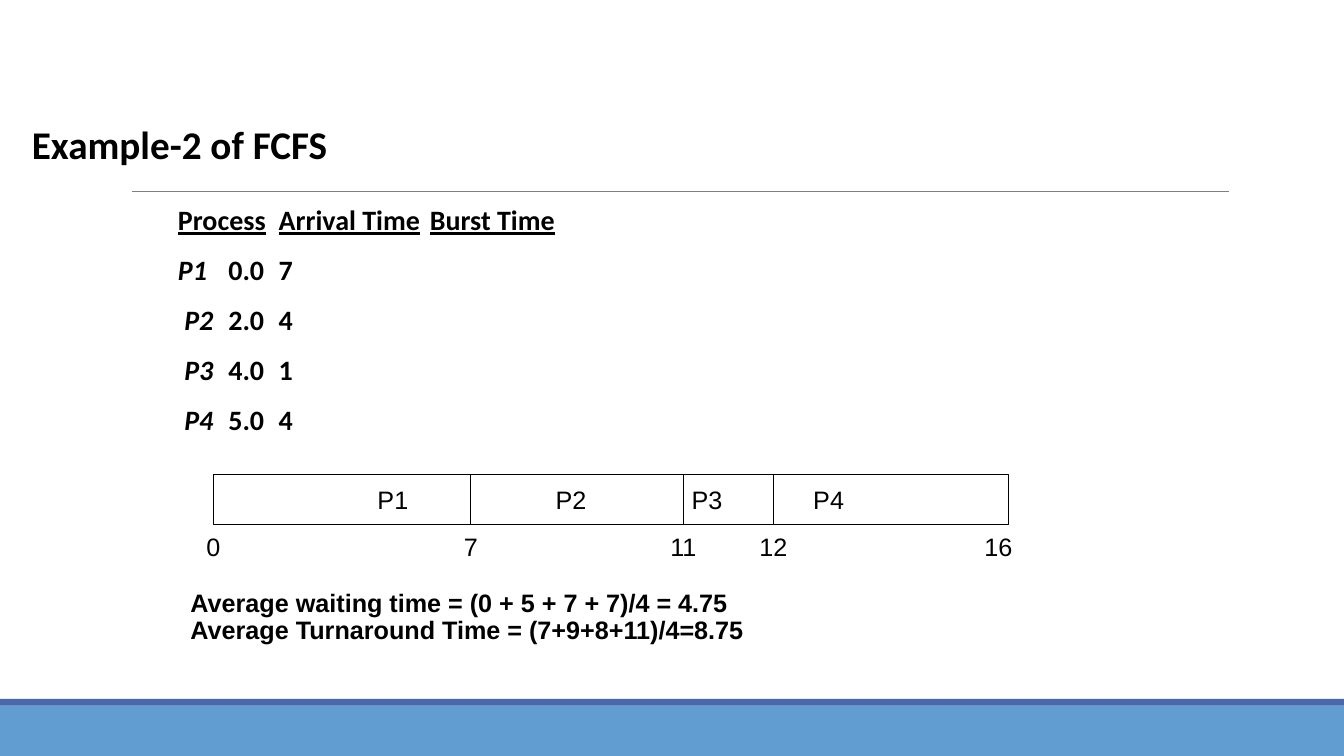
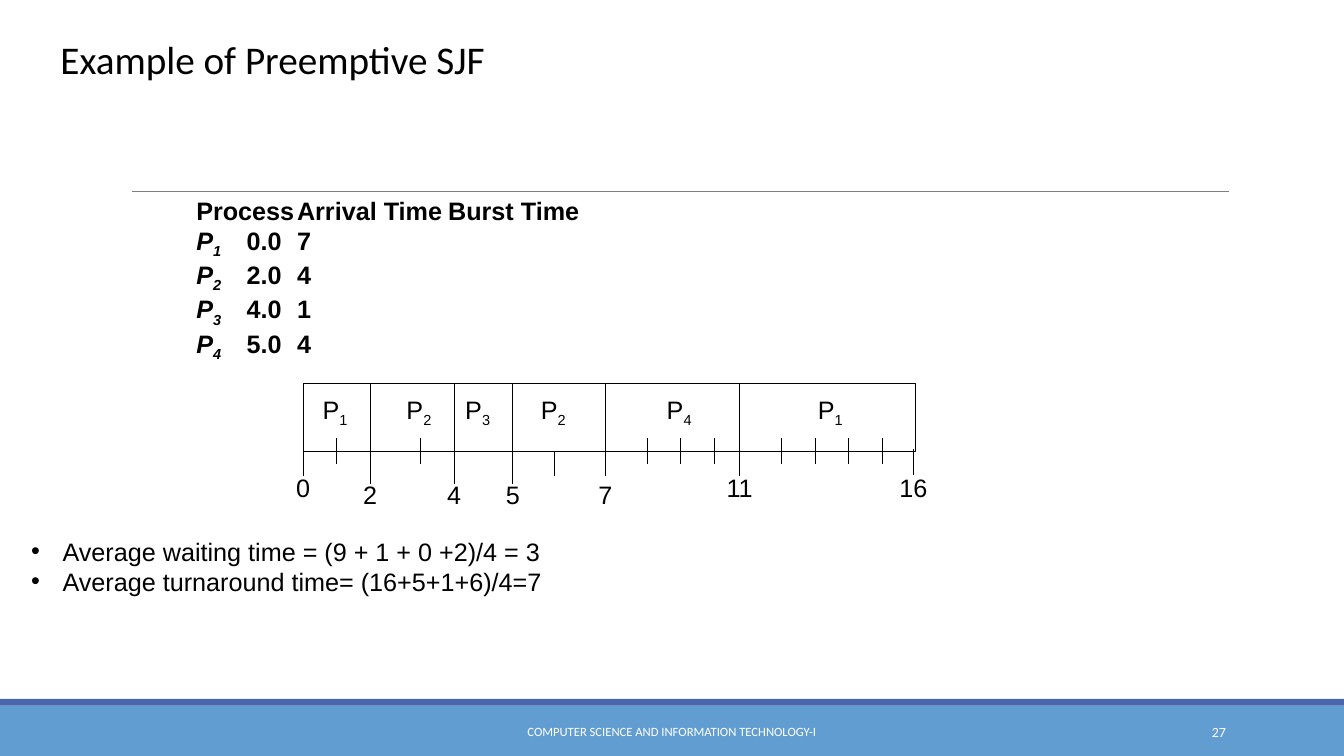
"""Build two slides on CPU scheduling, laid out on a grid of twelfths of an inch."""
from dataclasses import dataclass
from typing import NamedTuple

from lxml import etree
from pptx import Presentation
from pptx.dml.color import RGBColor
from pptx.enum import shapes, text
from pptx.oxml.ns import qn
from pptx.util import Inches, Pt

COLS, ROWS = 160.08, 90
LEFT, CENTER, RIGHT = text.PP_ALIGN.LEFT, text.PP_ALIGN.CENTER, text.PP_ALIGN.RIGHT
TOP, MIDDLE, BOTTOM = text.MSO_ANCHOR.TOP, text.MSO_ANCHOR.MIDDLE, text.MSO_ANCHOR.BOTTOM


@dataclass(frozen=True)
class Theme:
    """Colours, fonts and type sizes of the deck."""
    ink: str = "000000"
    paper: str = "FFFFFF"
    band: str = "629DD1"
    edge: str = "4A66AC"
    rule: str = "7F7F7F"
    head: str = "Calibri"
    body: str = "Arial"
    title: float = 28
    table: float = 20
    normal: float = 18
    number: float = 10
    footer: float = 9
    hairline: float = 0.5
    line: float = 0.75


class Box(NamedTuple):
    """A place on the grid."""
    left: float
    top: float
    width: float
    height: float


class Task(NamedTuple):
    """A process label, centred on a column of the chart."""
    col: float
    name: str
    sub: str = ""


class Mark(NamedTuple):
    """A vertical stroke on the chart, with an optional time below it."""
    col: float
    top: float
    bottom: float
    time: str = ""
    time_top: float = 0


@dataclass(frozen=True)
class Gantt:
    """A bar of tasks with its time marks."""
    bar: Box
    task_top: float
    task_height: float
    time_height: float
    tasks: list[Task]
    marks: list[Mark]


T = Theme()


def cells(n: float) -> int:
    """Turn grid cells into a length."""
    return Inches(n / 12)


def rgb(value: str) -> RGBColor:
    """Turn a hex value into a colour."""
    return RGBColor.from_string(value)


def place(sp, box: Box) -> None:
    """Move a shape to its place on the grid."""
    sp.left, sp.top, sp.width, sp.height = map(cells, box)


def write(p, s: str, *, font: str = T.body, size: float = T.normal, color: str = T.ink,
          bold: bool = False, italic: bool = False, underline: bool = False,
          sub: bool = False) -> None:
    """Add a formatted run to a paragraph."""
    r = p.add_run()
    r.text = s
    f = r.font
    f.name, f.size, f.bold, f.italic, f.underline = font, Pt(size), bold, italic, underline
    f.color.rgb = rgb(color)
    if sub:
        r._r.get_or_add_rPr().set("baseline", "-25000")


def paragraph(tf, align=LEFT, line: float = 1, before: float = 0, after: float = 0,
              tabs: tuple = (), bullet: str = "", indent: float = 0):
    """Return the next formatted paragraph of a text frame."""
    p = tf.paragraphs[0]
    if p.runs:
        p = tf.add_paragraph()
    p.alignment, p.line_spacing = align, line
    p.space_before, p.space_after = Pt(before), Pt(after)
    pr = p._p.get_or_add_pPr()
    pr.set("marL", str(cells(indent)))
    pr.set("indent", str(-cells(indent)))
    if bullet:
        etree.SubElement(pr, qn("a:buFont"), typeface=T.body)
        etree.SubElement(pr, qn("a:buChar"), char=bullet)
    else:
        etree.SubElement(pr, qn("a:buNone"))
    if tabs:
        stops = etree.SubElement(pr, qn("a:tabLst"))
        for col in tabs:
            etree.SubElement(stops, qn("a:tab"), pos=str(cells(col)), algn="l")
    return p


def frame(sp, anchor=TOP, wrap: bool = True):
    """Prepare and return the text frame of a shape."""
    tf = sp.text_frame
    tf.auto_size = text.MSO_AUTO_SIZE.NONE
    tf.word_wrap, tf.vertical_anchor = wrap, anchor
    return tf


def textbox(slide, box: Box, anchor=TOP, wrap: bool = True):
    """Add a text box and return its text frame."""
    return frame(slide.shapes.add_textbox(*map(cells, box)), anchor, wrap)


def rect(slide, box: Box, fill: str, line: str = ""):
    """Add a plain rectangle."""
    sp = slide.shapes.add_shape(shapes.MSO_SHAPE.RECTANGLE, *map(cells, box))
    sp.shadow.inherit = False
    sp.fill.solid()
    sp.fill.fore_color.rgb = rgb(fill)
    if line:
        sp.line.color.rgb, sp.line.width = rgb(line), Pt(T.line)
    else:
        sp.line.fill.background()
    return sp


def stroke(slide, x1: float, y1: float, x2: float, y2: float,
           color: str = T.ink, width: float = T.line):
    """Add a straight line."""
    sp = slide.shapes.add_connector(shapes.MSO_CONNECTOR.STRAIGHT, *map(cells, (x1, y1, x2, y2)))
    sp.line.color.rgb, sp.line.width = rgb(color), Pt(width)
    etree.SubElement(sp.element.spPr, qn("a:effectLst"))
    return sp


def decorate(layout, slide) -> None:
    """Draw the bands and the rule, and hand them to the layout."""
    parts = (rect(slide, Box(0, 84, COLS, 6), T.band),
             rect(slide, Box(0, 83.2, COLS, 0.8), T.edge),
             stroke(slide, 15.7, 22.8, 146.4, 22.8, T.rule, T.hairline))
    for i, sp in enumerate(parts):
        sp.element.xpath(".//p:cNvPr")[0].set("id", str(100 + i))
        layout.shapes.element.insert(2 + i, sp.element)


def title(slide, s: str, box: Box, bold: bool = False) -> None:
    """Fill the title placeholder."""
    sp = slide.shapes.title
    place(sp, box)
    p = paragraph(frame(sp, BOTTOM), line=0.85)
    write(p, s, font=T.head, size=T.title, bold=bold)


def label(slide, box: Box, s: str, sub: str = "", align=CENTER, wrap: bool = False, **fmt) -> None:
    """Add a one-line label, centred vertically."""
    p = paragraph(textbox(slide, box, MIDDLE, wrap), align)
    write(p, s, **fmt)
    if sub:
        write(p, sub, sub=True, **fmt)


def draw_gantt(slide, g: Gantt) -> None:
    """Draw the bar, its tasks and its time marks."""
    rect(slide, g.bar, T.paper, T.ink)
    for t in g.tasks:
        label(slide, Box(g.bar.left + t.col - 2.7, g.task_top, 5.4, g.task_height), t.name, t.sub)
    for m in g.marks:
        x = g.bar.left + m.col
        if m.bottom > m.top:
            stroke(slide, x, m.top, x, m.bottom)
        if m.time:
            label(slide, Box(x - 4, m.time_top, 8, g.time_height), m.time)


def fcfs_slide(slide) -> None:
    """Build the first come, first served example."""
    title(slide, "Example-2 of FCFS", Box(2.6, 9.2, 144, 11.4), bold=True)
    sp = slide.placeholders[1]
    place(sp, Box(8, 24, 144, 30.7))
    tf = frame(sp)
    tf.margin_left, tf.margin_right = cells(13.2), 0
    fmt = dict(font=T.head, size=T.table, bold=True)
    layout = dict(line=0.9, before=12, after=2, tabs=(12, 24, 36))
    p = paragraph(tf, **layout)
    for i, s in enumerate(("Process", "Arrival Time", "Burst Time")):
        if i:
            write(p, "\t", **fmt)
        write(p, s, underline=True, **fmt)
    for name, times in (("P1", "0.0\t7"), (" P2", "2.0\t4"), (" P3", "4.0\t1"), (" P4", "5.0\t4")):
        p = paragraph(tf, **layout)
        write(p, name, italic=True, **fmt)
        write(p, "\t" + times, **fmt)

    top, bottom, times = 56.5, 62.5, 63.6
    draw_gantt(slide, Gantt(
        Box(25.4, top, 94.7, bottom - top), top, bottom - top, 3,
        [Task(21.4, "P1"), Task(42.6, "P2"), Task(58.8, "P3"), Task(73.3, "P4")],
        [Mark(0, top, top, "0", times), Mark(93.5, top, top, "16", times)]
        + [Mark(col, top, bottom, s, times)
           for col, s in ((30.7, "7"), (56, "11"), (66.7, "12"))]))

    tf = textbox(slide, Box(21.5, 69.7, 80, 7.7))
    for s in ("Average waiting time = (0 + 5 + 7 + 7)/4 = 4.75",
              "Average Turnaround Time = (7+9+8+11)/4=8.75"):
        write(paragraph(tf, line=0.9), s, bold=True)


def sjf_slide(slide) -> None:
    """Build the preemptive shortest job first example."""
    title(slide, "Example of Preemptive SJF", Box(6, 4, 108, 6.4))
    white = dict(font=T.head, color=T.paper, wrap=True)
    label(slide, Box(48.4, 84.7, 63.2, 4.8), "COMPUTER SCIENCE AND INFORMATION TECHNOLOGY-I",
          size=T.footer, **white)
    label(slide, Box(130, 84.7, 17.2, 4.8), "27", align=RIGHT, size=T.number, **white)

    bar = Box(36.1, 45.7, 73, 8)
    base = bar.top + bar.height
    draw_gantt(slide, Gantt(
        bar, 46.3, 5.3, 4.8,
        [Task(3.8, "P", "1"), Task(13.8, "P", "2"), Task(20.8, "P", "3"),
         Task(29.8, "P", "2"), Task(44.8, "P", "4"), Task(62.8, "P", "1")],
        [Mark(col, 45.6, 57.6, s, 56.5) for col, s in ((8, "2"), (18, "4"), (25, "5"))]
        + [Mark(col, 52.2, 55.2) for col in (4, 14, 41, 45, 49, 57, 61, 65, 69)]
        + [Mark(0, base, base + 3, "0", 55.6), Mark(30, base, base + 3),
           Mark(36, bar.top, base + 3, "7", 56.5), Mark(52, bar.top, base + 3, "11", 55.6),
           Mark(72.7, 53.5, 56.5, "16", 55.6)]))

    tf = textbox(slide, Box(16.2, 22.6, 105.6, 21.2))
    write(paragraph(tf, tabs=(24, 48, 72)), "\tProcess\tArrival Time\tBurst Time", bold=True)
    for i, times in enumerate(("0.0\t7", "2.0\t4", "4.0\t1", "5.0\t4"), 1):
        p = paragraph(tf, tabs=(29, 55.6, 79.6))
        write(p, "\tP", bold=True, italic=True)
        write(p, str(i), bold=True, italic=True, sub=True)
        write(p, "\t" + times, bold=True)

    sp = slide.placeholders[1]
    place(sp, Box(2.5, 63.2, 151, 12))
    tf = frame(sp)
    for s in ("Average waiting time = (9 + 1 + 0 +2)/4 = 3",
              "Average turnaround time= (16+5+1+6)/4=7"):
        write(paragraph(tf, bullet="•", indent=3.75), s)


def main() -> None:
    """Build and save the deck."""
    prs = Presentation()
    prs.slide_width, prs.slide_height = cells(COLS), cells(ROWS)
    layout = prs.slide_layouts[1]
    slides = [prs.slides.add_slide(layout) for _ in range(2)]
    decorate(layout, slides[0])
    for build, slide in zip((fcfs_slide, sjf_slide), slides):
        build(slide)
    prs.save("out.pptx")


if __name__ == "__main__":
    main()
